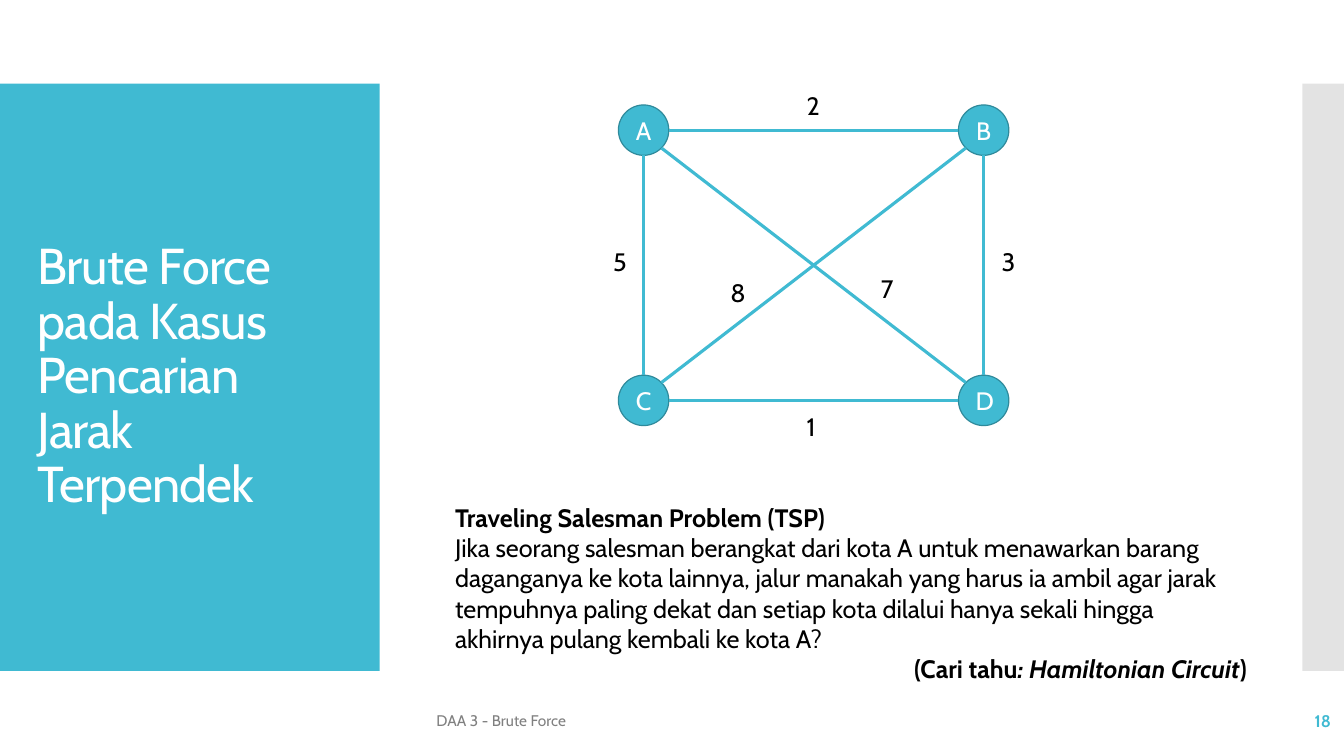
from dataclasses import dataclass
from math import hypot

from lxml.etree import SubElement
from pptx import Presentation
from pptx.dml.color import RGBColor
from pptx.enum.shapes import MSO_CONNECTOR as Connector, MSO_SHAPE as Preset
from pptx.enum.text import MSO_ANCHOR as Anchor, MSO_AUTO_SIZE as AutoSize, PP_ALIGN as Align
from pptx.oxml.ns import qn
from pptx.shapes.autoshape import Shape
from pptx.slide import Slide
from pptx.text.text import _Paragraph as Paragraph
from pptx.util import Cm, Pt

FONT = "Cabin"
TEAL = RGBColor(0x40, 0xBA, 0xD2)
DARK_TEAL = RGBColor(0x2F, 0x8A, 0x9B)
SILVER = RGBColor(0xC8, 0xC8, 0xC8)
GRAY = RGBColor(0x80, 0x80, 0x80)
BLACK = RGBColor(0, 0, 0)
WHITE = RGBColor(0xFF, 0xFF, 0xFF)

NODE_SIZE = 1.27
LABEL_WIDTH, LABEL_HEIGHT = 0.84, 1.02
BAND_TOP, BAND_HEIGHT = 2.11, 14.8
FOOTER_TOP, FOOTER_HEIGHT = 17.65, 1.02


@dataclass(frozen=True)
class City:
    """A graph node; x and y are its centre in centimetres."""
    name: str
    x: float
    y: float


@dataclass(frozen=True)
class Road:
    """A weighted edge; label_x and label_y place its distance."""
    start: str
    end: str
    distance: str
    label_x: float
    label_y: float


LEFT, RIGHT, TOP, BOTTOM = 16.22, 24.79, 3.28, 10.09
CITIES = {city.name: city for city in (
    City("A", LEFT, TOP), City("B", RIGHT, TOP),
    City("C", LEFT, BOTTOM), City("D", RIGHT, BOTTOM),
)}
ROADS = (
    Road("A", "D", "7", 21.95, 6.76),
    Road("C", "B", "8", 18.16, 6.87),
    Road("A", "C", "5", 15.2, 6.08),
    Road("A", "B", "2", 20.08, 2.16),
    Road("B", "D", "3", 24.99, 6.08),
    Road("C", "D", "1", 20.08, 10.25),
)


def style(paragraph: Paragraph, size: float, color: RGBColor,
          bold: bool = False, align: Align = Align.LEFT) -> None:
    """Set the font and alignment of a paragraph."""
    paragraph.alignment = align
    font = paragraph.font
    font.name, font.size, font.bold = FONT, Pt(size), bold
    font.color.rgb = color


def add_text(slide: Slide, left: float, top: float, width: float, height: float,
             text: str, size: float, color: RGBColor, bold: bool = False,
             align: Align = Align.LEFT, anchor: Anchor = Anchor.MIDDLE,
             wrap: bool = True) -> Shape:
    """Add a text box holding one styled paragraph."""
    box = slide.shapes.add_textbox(Cm(left), Cm(top), Cm(width), Cm(height))
    frame = box.text_frame
    frame.word_wrap, frame.vertical_anchor = wrap, anchor
    frame.text = text
    style(frame.paragraphs[0], size, color, bold, align)
    return box


def add_band(slide: Slide, left: float, width: float, color: RGBColor) -> Shape:
    """Add one of the vertical side bands."""
    band = slide.shapes.add_shape(Preset.RECTANGLE, Cm(left), Cm(BAND_TOP),
                                  Cm(width), Cm(BAND_HEIGHT))
    band.shadow.inherit = False
    band.fill.solid()
    band.fill.fore_color.rgb = color
    band.line.fill.background()
    return band


def add_city(slide: Slide, city: City) -> None:
    """Draw a city as a lettered circle."""
    circle = slide.shapes.add_shape(
        Preset.FLOWCHART_CONNECTOR, Cm(city.x - NODE_SIZE / 2),
        Cm(city.y - NODE_SIZE / 2), Cm(NODE_SIZE), Cm(NODE_SIZE))
    circle.shadow.inherit = False
    circle.fill.solid()
    circle.fill.fore_color.rgb = TEAL
    circle.line.color.rgb = DARK_TEAL
    circle.line.width = Pt(0.85)
    frame = circle.text_frame
    frame.vertical_anchor = Anchor.MIDDLE
    frame.text = city.name
    style(frame.paragraphs[0], 18, WHITE, align=Align.CENTER)


def add_road(slide: Slide, road: Road) -> None:
    """Join two circles at their facing 45-degree connection points."""
    start, end = CITIES[road.start], CITIES[road.end]
    step_x = (end.x > start.x) - (end.x < start.x)
    step_y = (end.y > start.y) - (end.y < start.y)
    reach = NODE_SIZE / 2 / hypot(step_x, step_y)
    line = slide.shapes.add_connector(
        Connector.STRAIGHT,
        Cm(start.x + step_x * reach), Cm(start.y + step_y * reach),
        Cm(end.x - step_x * reach), Cm(end.y - step_y * reach))
    line.line.color.rgb = TEAL
    line.line.width = Pt(2.25)
    SubElement(line._element.spPr, qn("a:effectLst"))


def add_distance(slide: Slide, road: Road) -> None:
    """Write the distance beside a road."""
    label = add_text(slide, road.label_x, road.label_y, LABEL_WIDTH, LABEL_HEIGHT,
                     road.distance, 18, BLACK, anchor=Anchor.TOP, wrap=False)
    label.text_frame.auto_size = AutoSize.SHAPE_TO_FIT_TEXT


def add_title(slide: Slide) -> None:
    """Add the title with its tight line and letter spacing."""
    title = add_text(slide, 0.7, 3.12, 8.18, 12.78,
                     "Brute Force pada Kasus Pencarian Jarak Terpendek", 36, WHITE)
    paragraph = title.text_frame.paragraphs[0]
    paragraph.line_spacing = 0.9
    paragraph.runs[0]._r.get_or_add_rPr().set("spc", "-60")


def add_problem(slide: Slide) -> None:
    """Add the problem statement and its closing hint."""
    box = add_text(slide, 11.22, 12.53, 20.45, 4.88, "Traveling Salesman Problem (TSP)",
                   18, BLACK, bold=True, anchor=Anchor.TOP)
    frame = box.text_frame
    frame.auto_size = AutoSize.SHAPE_TO_FIT_TEXT
    question = frame.add_paragraph()
    question.text = (
        "Jika seorang salesman berangkat dari kota A untuk menawarkan barang "
        "daganganya ke kota lainnya, jalur manakah yang harus ia ambil agar jarak "
        "tempuhnya paling dekat dan setiap kota dilalui hanya sekali hingga "
        "akhirnya pulang kembali ke kota A?")
    style(question, 18, BLACK)
    hint = frame.add_paragraph()
    style(hint, 18, BLACK, bold=True, align=Align.RIGHT)
    for text, italic in (("(Cari tahu", False), (": Hamiltonian Circuit", True), (")", False)):
        run = hint.add_run()
        run.text = text
        run.font.italic = italic


def main() -> None:
    """Build and save the slide."""
    presentation = Presentation()
    presentation.slide_width, presentation.slide_height = Cm(33.87), Cm(19.05)
    slide = presentation.slides.add_slide(presentation.slide_layouts[6])

    add_band(slide, 0, 9.57, TEAL)
    right_band = add_band(slide, 32.82, 1.05, SILVER)
    color = right_band._element.spPr.find(f"{qn('a:solidFill')}/{qn('a:srgbClr')}")
    SubElement(color, qn("a:alpha")).set("val", "50000")

    add_title(slide)
    add_text(slide, 10.75, FOOTER_TOP, 16.41, FOOTER_HEIGHT, "DAA 3 - Brute Force", 11, GRAY)
    add_text(slide, 29.55, FOOTER_TOP, 4.24, FOOTER_HEIGHT, "18", 12, TEAL,
             bold=True, align=Align.RIGHT)

    for city in CITIES.values():
        add_city(slide, city)
    for road in ROADS:
        add_road(slide, road)
    for road in ROADS:
        add_distance(slide, road)
    add_problem(slide)
    presentation.save("out.pptx")


main()
